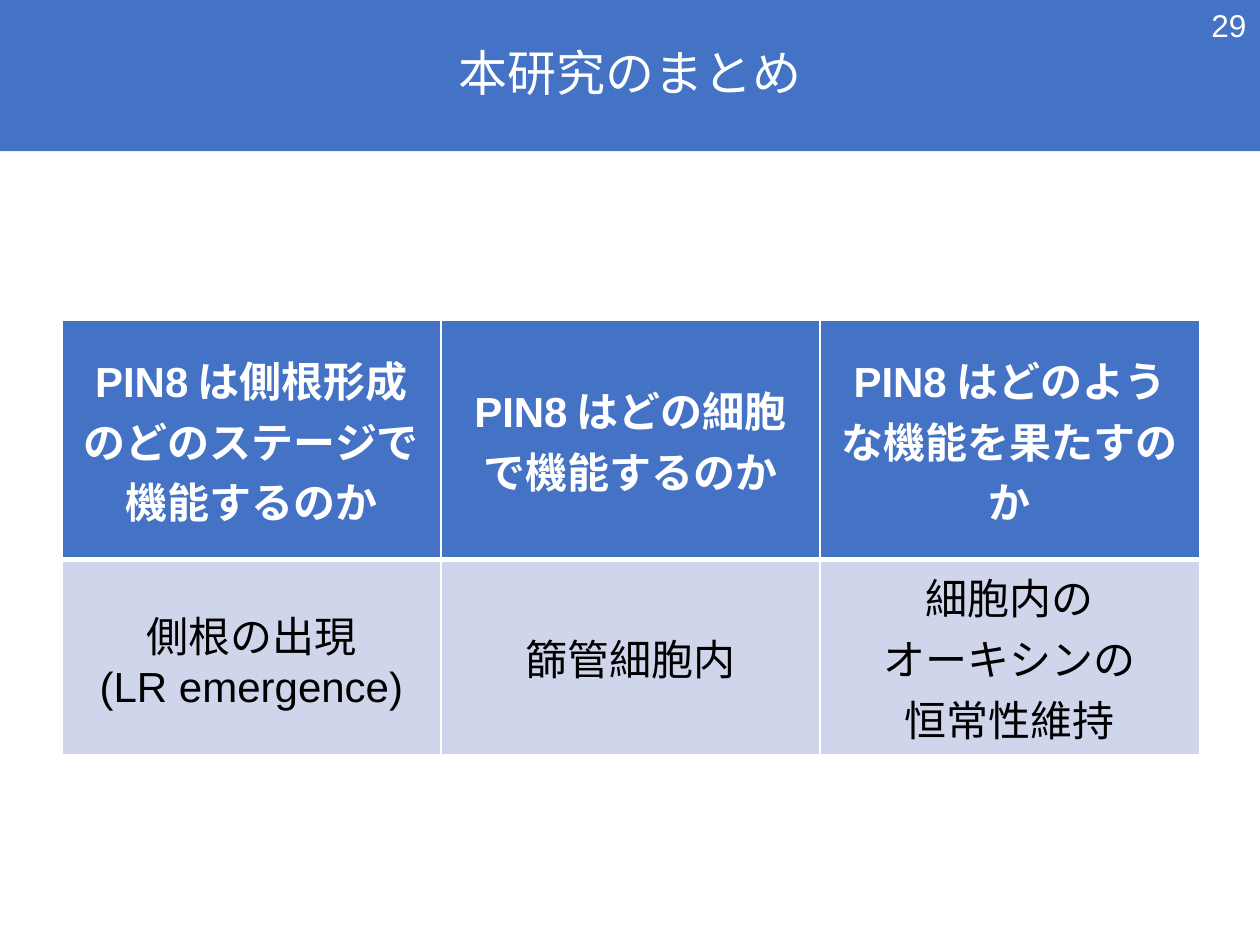
from lxml import etree
from pptx import Presentation
from pptx.dml.color import RGBColor
from pptx.enum.shapes import MSO_SHAPE
from pptx.enum.text import MSO_ANCHOR, PP_ALIGN
from pptx.oxml.ns import qn
from pptx.util import Inches, Pt

RECTANGLE = MSO_SHAPE.RECTANGLE
MIDDLE = MSO_ANCHOR.MIDDLE
CENTER = PP_ALIGN.CENTER
RIGHT = PP_ALIGN.RIGHT

BLUE, PALE, WHITE, BLACK = "4472C4", "CFD5EA", "FFFFFF", "000000"
FONT = "Arial"
HEADINGS = [
    "PIN8は側根形成のどのステージで\n機能するのか",
    "PIN8はどの細胞で機能するのか",
    "PIN8はどのような機能を果たすのか",
]
FINDINGS = [
    "側根の出現\n(LR emergence)",
    "篩管細胞内",
    "細胞内の\nオーキシンの\n恒常性維持",
]


def color(value):
    """Turn a hex string into a colour."""
    return RGBColor.from_string(value)


def write_text(frame, text, size=24, fill=WHITE, bold=False, align=CENTER, spacing=None):
    """Fill a text frame with one paragraph per line of text."""
    frame.word_wrap = True
    frame.text = text
    for paragraph in frame.paragraphs:
        paragraph.alignment = align
        paragraph.line_spacing = spacing
        for run in paragraph.runs:
            run.font.name = FONT
            run.font.size = Pt(size)
            run.font.bold = bold
            run.font.color.rgb = color(fill)


def add_title_band(slide, text):
    """Draw the title band across the top of the slide."""
    shape = slide.shapes.add_shape(RECTANGLE, 0, 0, Inches(10), Inches(1.2))
    shape.shadow.inherit = False
    shape.fill.solid()
    shape.fill.fore_color.rgb = color(BLUE)
    shape.line.fill.background()
    shape.text_frame.vertical_anchor = MIDDLE
    write_text(shape.text_frame, text, size=28, spacing=0.9)


def add_page_number(slide, text):
    """Place the page number in the top right corner."""
    box = slide.shapes.add_textbox(Inches(7.74), 0, Inches(2.25), Inches(0.4))
    box.text_frame.vertical_anchor = MIDDLE
    write_text(box.text_frame, text, size=18, align=RIGHT)


def set_borders(cell, widths):
    """Give a cell white borders with the width in points for each side."""
    properties = cell._tc.get_or_add_tcPr()
    for index, (side, width) in enumerate(widths.items()):
        line = etree.Element(qn(f"a:ln{side}"), w=str(Pt(width)))
        fill = etree.SubElement(line, qn("a:solidFill"))
        etree.SubElement(fill, qn("a:srgbClr"), val=WHITE)
        properties.insert(index, line)


def fill_row(table, row, texts, background, borders, **text_format):
    """Write and format all cells of one table row."""
    for column, text in enumerate(texts):
        cell = table.cell(row, column)
        cell.vertical_anchor = MIDDLE
        cell.fill.solid()
        cell.fill.fore_color.rgb = color(background)
        write_text(cell.text_frame, text, **text_format)
        set_borders(cell, borders)


def add_summary_table(slide):
    """Add the table of research questions and findings."""
    frame = slide.shapes.add_table(
        2, len(HEADINGS), Inches(0.49), Inches(2.54), Inches(9.03), Inches(3.35)
    )
    table = frame.table
    for column in table.columns:
        column.width = Inches(3.01)
    for row, height in zip(table.rows, (1.9, 1.45)):
        row.height = Inches(height)
    fill_row(table, 0, HEADINGS, BLUE, {"L": 1, "R": 1, "T": 1, "B": 3}, bold=True)
    fill_row(table, 1, FINDINGS, PALE, {"L": 1, "R": 1, "T": 3, "B": 1}, fill=BLACK)


def main():
    """Build the summary slide and save it."""
    presentation = Presentation()
    presentation.slide_width = Inches(10)
    presentation.slide_height = Inches(7.5)
    slide = presentation.slides.add_slide(presentation.slide_layouts[6])
    add_title_band(slide, "本研究のまとめ")
    add_summary_table(slide)
    add_page_number(slide, "29")
    presentation.save("out.pptx")


if __name__ == "__main__":
    main()
